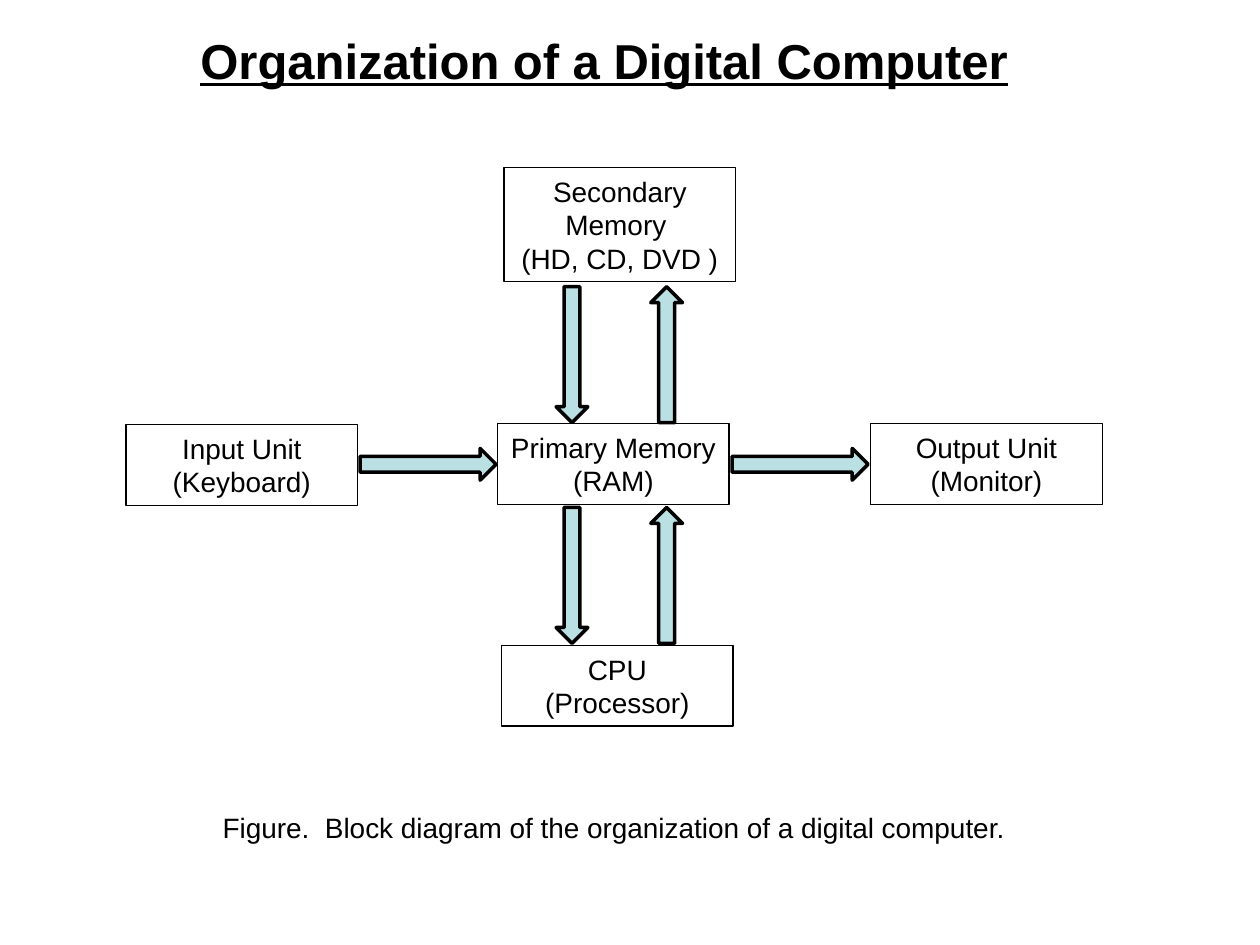
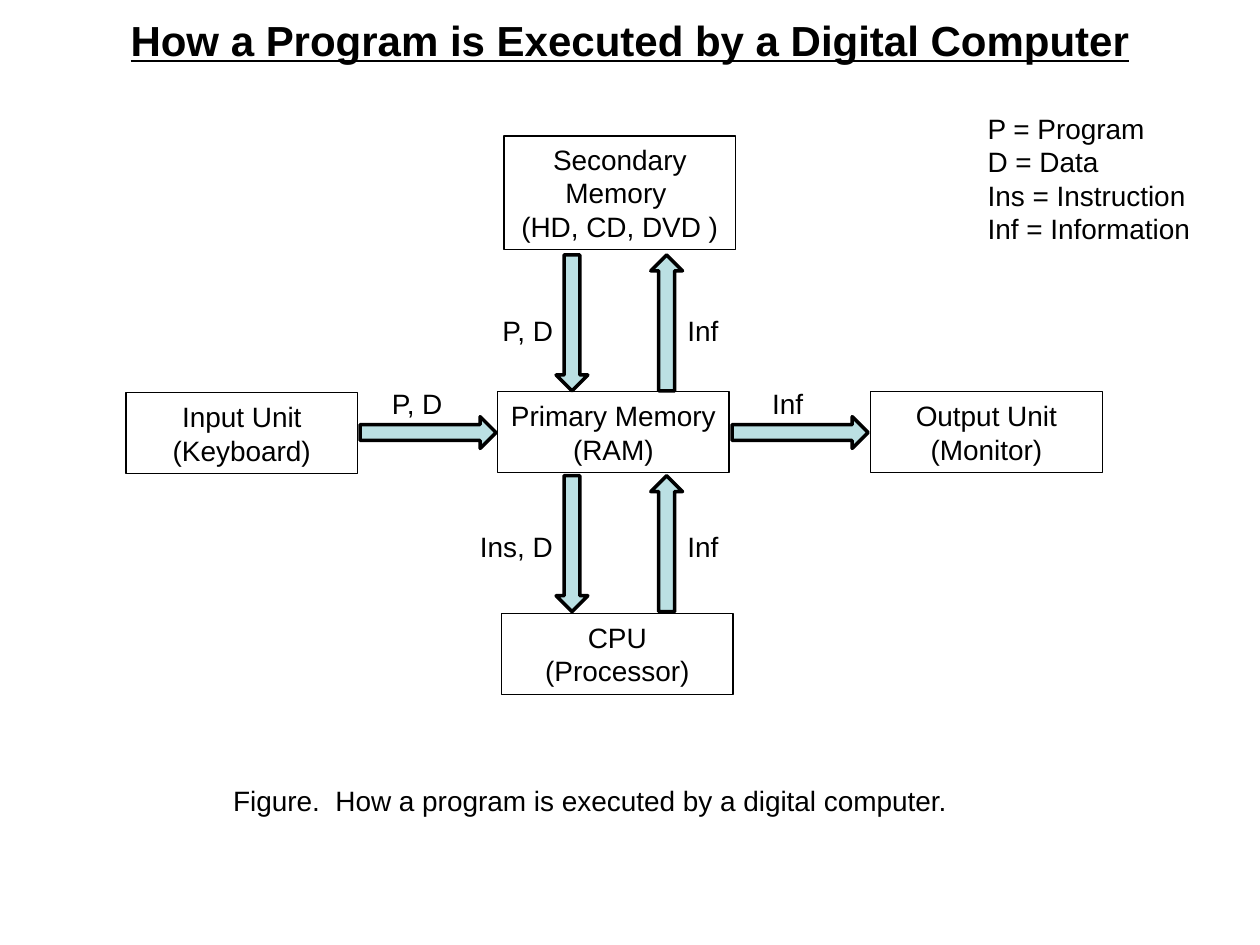
import pptx
import pptx.util
import pptx.dml.color
import pptx.enum.shapes
import pptx.enum.text

Cm = pptx.util.Cm
Pt = pptx.util.Pt
SHAPE = pptx.enum.shapes.MSO_SHAPE
ALIGN = pptx.enum.text.PP_ALIGN
MIDDLE = pptx.enum.text.MSO_ANCHOR.MIDDLE

FONT = "Arial"
INK = "000000"
AQUA = "BBE0E3"

UNIT_W = 4.67
ARROW_LEN, ARROW_W = 2.74, 0.64
LABEL_H = 0.94
DOWN_X, UP_X = 11.53, 13.44
UPPER_Y, ROW_Y, LOWER_Y = 3.77, 5.98, 8.22

# Text, left, top below the diagram's top, height
UNITS = [
    ("Input Unit (Keyboard)", 2.54, 5.18, 1.63),
    ("Output Unit (Monitor)", 17.55, 5.16, 1.63),
    ("Secondary Memory \n(HD, CD, DVD )", 10.16, 0, 2.29),
    ("CPU (Processor)", 10.11, 9.63, 1.63),
    ("Primary Memory (RAM)", 10.03, 5.16, 1.63),
]

# Centre x, centre y below the diagram's top, turn in degrees
ARROWS = [(8.63, ROW_Y, 0), (16.13, ROW_Y, 0)]
for mid_y in (UPPER_Y, LOWER_Y):
    ARROWS += [(DOWN_X, mid_y, 90), (UP_X, mid_y, 270)]

# Text, centre x, centre y below the diagram's top, width
LABELS = [
    ("P, D", 8.41, 5.4, 1.83),
    ("Inf", 15.88, 5.4, 1.27),
    ("P, D", 10.64, 3.92, 1.83),
    ("Inf", 14.17, 3.92, 1.27),
    ("Ins, D", 10.41, 8.27, 2.24),
    ("Inf", 14.17, 8.27, 1.27),
]

LEGEND = "P = Program\nD = Data\nIns = Instruction\nInf = Information"


def color(code):
    return pptx.dml.color.RGBColor.from_string(code)


def write(shape, text, size=16, align=ALIGN.CENTER, strong=False):
    """Fill a shape with text; strong means bold and underlined."""
    frame = shape.text_frame
    frame.word_wrap = True
    frame.vertical_anchor = MIDDLE
    frame.text = text
    for para in frame.paragraphs:
        para.alignment = align
        for run in para.runs:
            font = run.font
            font.name = FONT
            font.size = Pt(size)
            font.color.rgb = color(INK)
            if strong:
                font.bold = font.underline = True


def add_text(slide, text, left, top, width, height, **style):
    box = slide.shapes.add_textbox(Cm(left), Cm(top), Cm(width), Cm(height))
    write(box, text, **style)


def add_title(slide, text, left, top, width, height, size):
    add_text(slide, text, left, top, width, height, size=size, strong=True)


def outline(shape, weight):
    shape.shadow.inherit = False
    shape.line.color.rgb = color(INK)
    shape.line.width = Pt(weight)


def add_unit(slide, text, left, top, height):
    unit = slide.shapes.add_shape(
        SHAPE.RECTANGLE, Cm(left), Cm(top), Cm(UNIT_W), Cm(height))
    unit.fill.background()
    outline(unit, 0.75)
    write(unit, text)


def add_arrow(slide, mid_x, mid_y, turn):
    arrow = slide.shapes.add_shape(
        SHAPE.RIGHT_ARROW, Cm(mid_x - ARROW_LEN / 2),
        Cm(mid_y - ARROW_W / 2), Cm(ARROW_LEN), Cm(ARROW_W))
    arrow.rotation = turn
    arrow.fill.solid()
    arrow.fill.fore_color.rgb = color(AQUA)
    outline(arrow, 2)


def add_label(slide, text, mid_x, mid_y, width):
    add_text(slide, text, mid_x - width / 2, mid_y - LABEL_H / 2,
             width, LABEL_H)


def add_figure(slide, top):
    """Draw the block diagram with its upper edge at top."""
    for text, left, drop, height in UNITS:
        add_unit(slide, text, left, top + drop, height)
    for mid_x, drop, turn in ARROWS:
        add_arrow(slide, mid_x, top + drop, turn)


def add_caption(slide, text, left, top):
    add_text(slide, text, left, top, 16.76, LABEL_H, align=ALIGN.LEFT)


def main():
    deck = pptx.Presentation()
    deck.slide_width, deck.slide_height = Cm(25.4), Cm(19.05)
    blank = deck.slide_layouts[6]

    slide = deck.slides.add_slide(blank)
    add_title(slide, "Organization of a Digital Computer",
              2.34, 0.25, 19.68, 1.9, 28)
    add_figure(slide, 3.38)
    add_caption(slide, "Figure.  Block diagram of the organization "
                "of a digital computer.", 4.24, 16.21)

    slide = deck.slides.add_slide(blank)
    add_title(slide, "How a Program is Executed by a Digital Computer",
              1.9, 0, 21.6, 1.6, 24)
    top = 2.74
    add_figure(slide, top)
    for text, mid_x, drop, width in LABELS:
        add_label(slide, text, mid_x, top + drop, width)
    add_text(slide, LEGEND, 19.66, 2.11, 4.67, 2.97, align=ALIGN.LEFT)
    add_caption(slide, "Figure.  How a program is executed "
                "by a digital computer.", 4.45, 15.67)

    deck.save("out.pptx")


if __name__ == "__main__":
    main()
